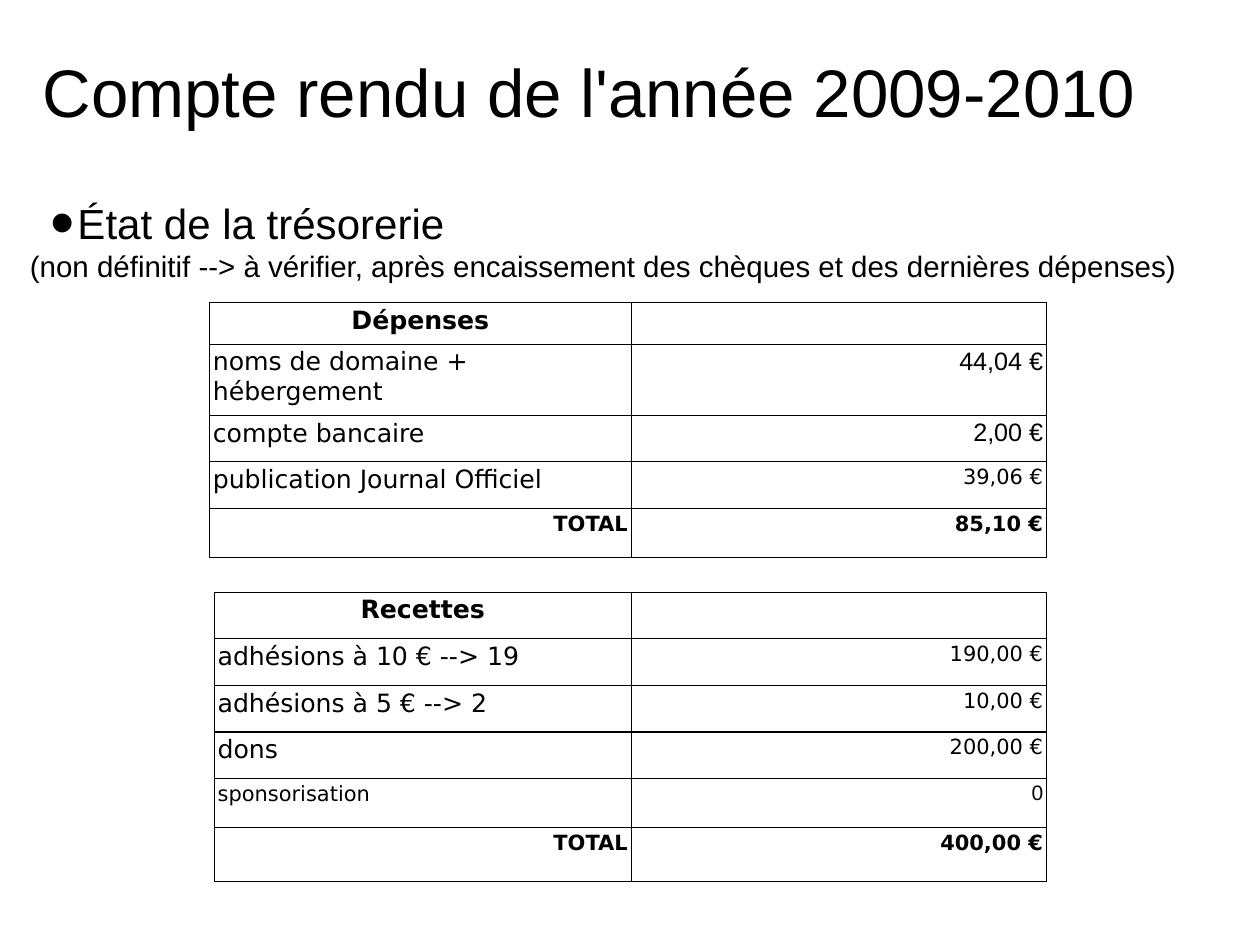
from dataclasses import dataclass

from lxml import etree
from pptx import Presentation
from pptx.dml.color import RGBColor
from pptx.enum import text as t
from pptx.oxml import ns
from pptx.util import Pt

LEFT, CENTER, RIGHT = t.PP_ALIGN.LEFT, t.PP_ALIGN.CENTER, t.PP_ALIGN.RIGHT


@dataclass(frozen=True)
class Theme:
    ink: str = "000000"
    sans: str = "Arial"
    table_face: str = "DejaVu Sans"
    title: float = 42.7
    heading: float = 26.7
    remark: float = 18.7
    large: float = 16
    small: float = 13.3
    border: float = 0.75
    cell_inset: float = 2.2


THEME = Theme()


@dataclass(frozen=True)
class Entry:
    words: str
    size: float = THEME.large
    face: str = THEME.table_face
    bold: bool = False
    align: t.PP_ALIGN = LEFT


@dataclass(frozen=True)
class Account:
    left: float
    top: float
    columns: tuple[float, ...]
    heights: tuple[float, ...]
    rows: tuple[tuple[Entry, ...], ...]


def heading(words: str) -> tuple[Entry, ...]:
    return (Entry(words, bold=True, align=CENTER),)


def line(label: str, amount: str, label_size: float = THEME.large,
         size: float = THEME.small, face: str = THEME.table_face) -> tuple[Entry, ...]:
    return Entry(label, label_size), Entry(amount, size, face, align=RIGHT)


def total(amount: str) -> tuple[Entry, ...]:
    return tuple(Entry(words, THEME.small, bold=True, align=RIGHT)
                 for words in ("TOTAL", amount))


EXPENSES = Account(133, 192, (267.8, 263.7), (26.6, 45.2, 29.5, 29.6, 31.1), (
    heading("Dépenses"),
    line("noms de domaine + hébergement", "44,04 €", size=THEME.large, face=THEME.sans),
    line("compte bancaire", "2,00 €", size=THEME.large, face=THEME.sans),
    line("publication Journal Officiel", "39,06 €"),
    total("85,10 €"),
))
INCOME = Account(136, 376, (264.8, 263.7), (29.6, 29.6, 29.6, 29.6, 31, 34.4), (
    heading("Recettes"),
    line("adhésions à 10 € --> 19", "190,00 €"),
    line("adhésions à 5 € --> 2", "10,00 €"),
    line("dons", "200,00 €"),
    line("sponsorisation", "0", label_size=THEME.small, face=THEME.sans),
    total("400,00 €"),
))


def write(paragraph, entry: Entry) -> None:
    paragraph.text = entry.words
    paragraph.alignment = entry.align
    paragraph.space_before = Pt(0)
    font = paragraph.font
    font.name, font.size, font.bold = entry.face, Pt(entry.size), entry.bold
    font.color.rgb = RGBColor.from_string(THEME.ink)


def place(holder, left: float, top: float, width: float, height: float,
          top_inset: float, entries: list[Entry]) -> None:
    """Move a placeholder and fill it with one paragraph per entry."""
    holder.left, holder.top = Pt(left), Pt(top)
    holder.width, holder.height = Pt(width), Pt(height)
    frame = holder.text_frame
    frame.auto_size = t.MSO_AUTO_SIZE.NONE
    frame.vertical_anchor = t.MSO_ANCHOR.TOP
    frame.margin_left = frame.margin_right = frame.margin_bottom = Pt(3)
    frame.margin_top = Pt(top_inset)
    for _ in entries[1:]:
        frame.add_paragraph()
    for paragraph, entry in zip(frame.paragraphs, entries):
        write(paragraph, entry)


def set_bullet(paragraph, bullet: str = "", percent: int = 100,
               margin: float = 0, indent: float = 0) -> None:
    """Give the paragraph a bullet, or none when bullet is empty."""
    properties = paragraph._p.get_or_add_pPr()
    properties.set("marL", str(Pt(margin)))
    properties.set("indent", str(Pt(indent)))
    marks = [etree.Element(ns.qn("a:buNone"))]
    if bullet:
        marks = [etree.Element(ns.qn("a:buSzPct"), val=str(percent * 1000)),
                 etree.Element(ns.qn("a:buFont"), typeface=THEME.sans),
                 etree.Element(ns.qn("a:buChar"), char=bullet)]
    font_defaults = properties.find(ns.qn("a:defRPr"))
    for mark in marks:
        font_defaults.addprevious(mark)


def outline(cell) -> None:
    properties = cell._tc.get_or_add_tcPr()
    for side in ("lnL", "lnR", "lnT", "lnB"):
        edge = etree.SubElement(properties, ns.qn(f"a:{side}"), w=str(Pt(THEME.border)))
        fill = etree.SubElement(edge, ns.qn("a:solidFill"))
        etree.SubElement(fill, ns.qn("a:srgbClr"), val=THEME.ink)


def draw_account(slide, account: Account) -> None:
    table = slide.shapes.add_table(
        len(account.heights), len(account.columns), Pt(account.left), Pt(account.top),
        Pt(sum(account.columns)), Pt(sum(account.heights))).table
    table.first_row = table.horz_banding = False
    for column, width in zip(table.columns, account.columns):
        column.width = Pt(width)
    for row, height, entries in zip(table.rows, account.heights, account.rows):
        row.height = Pt(height)
        for cell in row.cells:
            cell.margin_left = cell.margin_right = Pt(THEME.cell_inset)
            cell.margin_top = cell.margin_bottom = Pt(THEME.cell_inset)
            outline(cell)
            cell.fill.background()
        for cell, entry in zip(row.cells, entries):
            write(cell.text_frame.paragraphs[0], entry)


def main() -> None:
    deck = Presentation()
    deck.slide_width, deck.slide_height = Pt(800), Pt(600)
    slide = deck.slides.add_slide(deck.slide_layouts[1])
    title, body = slide.placeholders
    place(title, 24, 24, 758, 78, 8, [
        Entry("Compte rendu de l'année 2009-2010", THEME.title, THEME.sans)])
    place(body, 16, 120, 765, 462, 5.5, [
        Entry("État de la trésorerie", THEME.heading, THEME.sans),
        Entry("(non définitif --> à vérifier, après encaissement des chèques "
              "et des dernières dépenses)", THEME.remark, THEME.sans)])
    treasury, remark = body.text_frame.paragraphs
    set_bullet(treasury, "•", 165, 30.2, -17.3)
    set_bullet(remark)
    for account in (EXPENSES, INCOME):
        draw_account(slide, account)
    deck.save("out.pptx")


if __name__ == "__main__":
    main()
